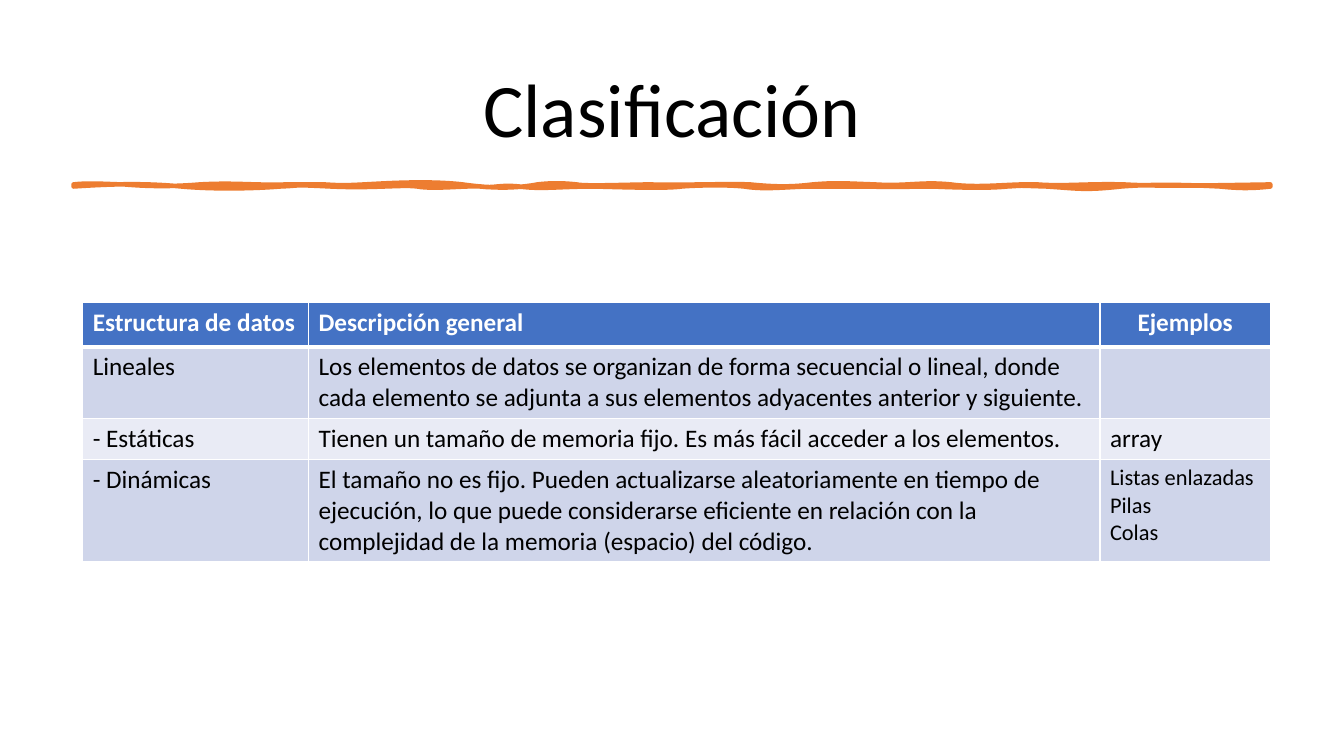
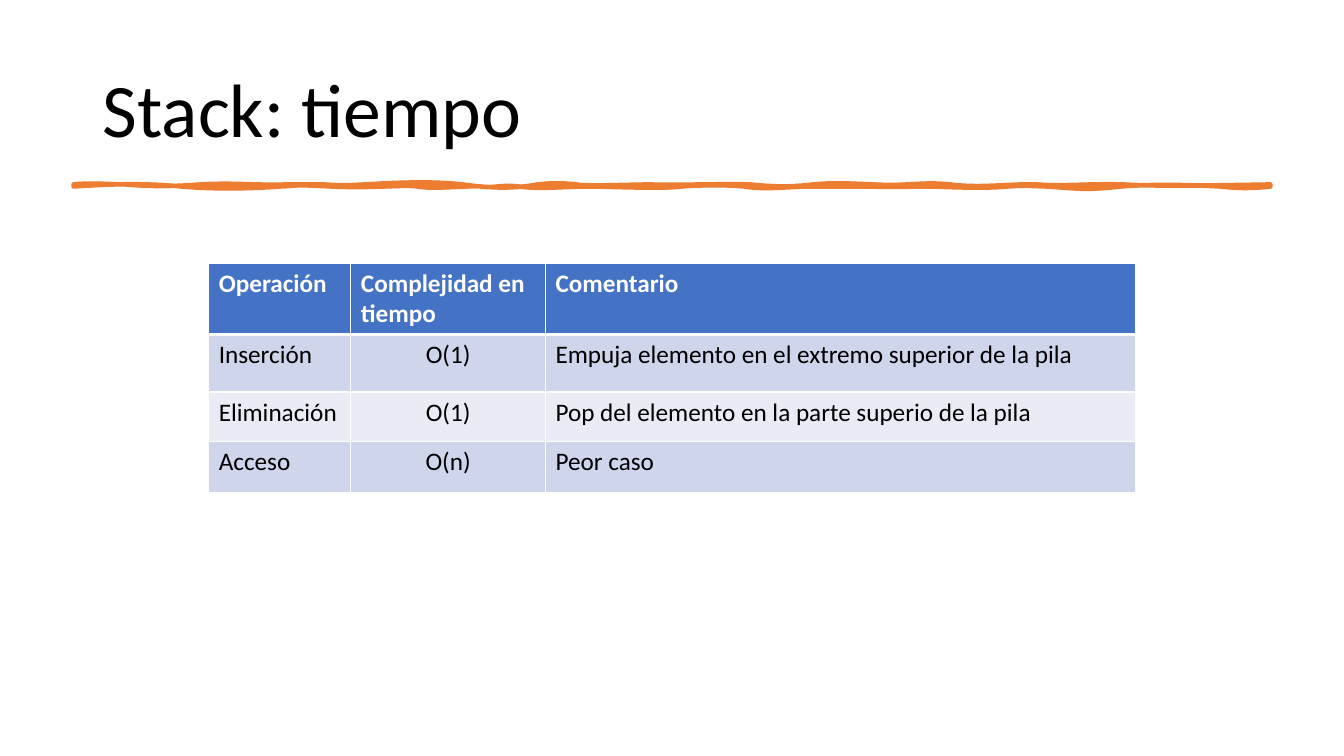
from dataclasses import dataclass

from lxml import etree
from pptx import Presentation
from pptx.dml.color import RGBColor
from pptx.enum.text import MSO_ANCHOR, PP_ALIGN
from pptx.oxml.ns import qn
from pptx.util import Inches, Pt

LEFT, CENTER = PP_ALIGN.LEFT, PP_ALIGN.CENTER
MIDDLE = MSO_ANCHOR.MIDDLE

SLIDE_W, SLIDE_H = 13.33, 7.5
TITLE_MARGIN = 0.92
FONT = "Calibri"
COLORS = {
    "header": "4472C4",
    "odd": "CFD5EA",
    "even": "E9EBF5",
    "border": "FFFFFF",
    "header_text": "FFFFFF",
    "text": "000000",
    "stroke": "ED7D31",
}
TITLE_FONT = {"name": FONT, "size": Pt(54), "bold": False}
HEADER_FONT = {"name": FONT, "size": Pt(18), "bold": True}
BODY_FONT = {"name": FONT, "size": Pt(18), "bold": False}
SMALL_FONT = {"name": FONT, "size": Pt(16), "bold": False}

# Brush stroke: each curve is (control x, control y, control x, control y, end x);
# every curve of an edge ends on that edge's level.
STROKE_LEFT, STROKE_TOP, STROKE_BOTTOM = 0.73, 1.83, 1.85
TOP_EDGE = [
    (0.89, 1.81, 1.11, 1.83, 1.24), (1.36, 1.84, 1.62, 1.86, 1.98),
    (2.34, 1.81, 2.51, 1.84, 2.84), (3.17, 1.83, 3.07, 1.83, 3.22),
    (3.38, 1.84, 3.42, 1.84, 3.61), (3.8, 1.82, 4.24, 1.79, 4.59),
    (4.94, 1.88, 5.17, 1.86, 5.33), (5.49, 1.81, 5.63, 1.82, 5.72),
    (5.81, 1.85, 6.25, 1.83, 6.46), (6.67, 1.84, 7.23, 1.82, 7.44),
    (7.65, 1.85, 7.82, 1.86, 8.06), (8.3, 1.81, 8.38, 1.82, 8.68),
    (8.99, 1.85, 9.14, 1.8, 9.43), (9.72, 1.87, 10.02, 1.82, 10.29),
    (10.55, 1.85, 10.78, 1.82, 11.15), (11.51, 1.85, 11.99, 1.84, 12.6),
]
BOTTOM_EDGE = [
    (12.6, 1.84, 12.6, 1.84, 12.6), (12.42, 1.87, 12.3, 1.87, 12.1),
    (11.9, 1.84, 11.49, 1.82, 11.12), (10.75, 1.89, 10.7, 1.87, 10.38),
    (10.05, 1.84, 10.18, 1.84, 9.99), (9.8, 1.87, 9.48, 1.86, 9.25),
    (9.02, 1.85, 8.84, 1.86, 8.63), (8.41, 1.85, 8.28, 1.85, 8),
    (7.73, 1.86, 7.57, 1.88, 7.38), (7.19, 1.83, 6.88, 1.84, 6.76),
    (6.63, 1.87, 6.24, 1.86, 5.9), (5.55, 1.85, 5.37, 1.88, 5.15),
    (4.94, 1.83, 4.91, 1.87, 4.77), (4.63, 1.84, 4.3, 1.88, 4.14),
    (3.99, 1.83, 3.71, 1.87, 3.28), (2.86, 1.83, 3.03, 1.84, 2.78),
    (2.53, 1.87, 2.13, 1.88, 1.8), (1.47, 1.82, 1.18, 1.82, STROKE_LEFT),
]


@dataclass(frozen=True)
class Cell:
    text: str = ""
    align: PP_ALIGN = LEFT
    small: bool = False


@dataclass(frozen=True)
class TableSlide:
    title: str
    title_align: PP_ALIGN
    left: float
    top: float
    cols: list[float]
    rows: list[float]
    cells: list[list[Cell]]


SLIDES = [
    TableSlide(
        "Clasificación", CENTER, 0.82, 3,
        cols=[2.24, 7.85, 1.69],
        rows=[0.44, 0.71, 0.41, 1.01],
        cells=[
            [Cell("Estructura de datos"), Cell("Descripción general"),
             Cell("Ejemplos", CENTER)],
            [Cell("Lineales"),
             Cell("Los elementos de datos se organizan de forma secuencial o "
                  "lineal, donde cada elemento se adjunta a sus elementos "
                  "adyacentes anterior y siguiente."),
             Cell()],
            [Cell("- Estáticas"),
             Cell("Tienen un tamaño de memoria fijo. Es más fácil acceder a "
                  "los elementos."),
             Cell("array")],
            [Cell("- Dinámicas"),
             Cell("El tamaño no es fijo. Pueden actualizarse aleatoriamente en "
                  "tiempo de ejecución, lo que puede considerarse eficiente en "
                  "relación con la complejidad de la memoria (espacio) del "
                  "código."),
             Cell("Listas enlazadas\nPilas\nColas", small=True)],
        ],
    ),
    TableSlide(
        "Stack: tiempo", LEFT, 2.07, 2.61,
        cols=[1.41, 1.93, 5.85],
        rows=[0.71, 0.57, 0.49, 0.51],
        cells=[
            [Cell("Operación"), Cell("Complejidad en tiempo"),
             Cell("Comentario")],
            [Cell("Inserción"), Cell("O(1)", CENTER),
             Cell("Empuja elemento en el extremo superior de la pila")],
            [Cell("Eliminación"), Cell("O(1)", CENTER),
             Cell("Pop del elemento en la parte superio de la pila")],
            [Cell("Acceso"), Cell("O(n)", CENTER), Cell("Peor caso")],
        ],
    ),
]


def rgb(name: str) -> RGBColor:
    return RGBColor.from_string(COLORS[name])


def write_text(tf, text: str, align: PP_ALIGN, font: dict, color: str) -> None:
    """Write one paragraph for each line of the text."""
    for i, line in enumerate(text.split("\n")):
        p = tf.add_paragraph() if i else tf.paragraphs[0]
        p.alignment = align
        if line:
            r = p.add_run()
            r.text = line
            for key, value in font.items():
                setattr(r.font, key, value)
            r.font.color.rgb = rgb(color)


def add_title(s, text: str, align: PP_ALIGN) -> None:
    box = s.shapes.add_textbox(Inches(TITLE_MARGIN), Inches(0.4),
                               Inches(SLIDE_W - 2 * TITLE_MARGIN), Inches(1.45))
    tf = box.text_frame
    tf.word_wrap = True
    tf.vertical_anchor = MIDDLE
    write_text(tf, text, align, TITLE_FONT, "text")
    tf.paragraphs[0].line_spacing = 0.9


def bend_segments(sp, curves: list) -> None:
    """Turn the straight segments of a freeform into Bézier curves."""
    segments = list(sp.element.iter(qn("a:lnTo")))
    for segment, (x1, y1, x2, y2, _) in zip(segments, curves):
        segment.tag = qn("a:cubicBezTo")
        for i, (x, y) in enumerate([(x1, y1), (x2, y2)]):
            pt = etree.Element(qn("a:pt"), x=str(Inches(x) - sp.left),
                               y=str(Inches(y) - sp.top))
            segment.insert(i, pt)


def add_brush_stroke(s) -> None:
    ends = [(Inches(curve[-1]), Inches(level))
            for edge, level in [(TOP_EDGE, STROKE_TOP),
                                (BOTTOM_EDGE, STROKE_BOTTOM)]
            for curve in edge]
    builder = s.shapes.build_freeform(Inches(STROKE_LEFT), Inches(STROKE_TOP))
    builder.add_line_segments(ends, close=True)
    sp = builder.convert_to_shape()
    bend_segments(sp, TOP_EDGE + BOTTOM_EDGE)
    sp.shadow.inherit = False
    sp.fill.solid()
    sp.fill.fore_color.rgb = rgb("stroke")
    sp.line.color.rgb = rgb("stroke")
    sp.line.width = Pt(3.25)


def set_borders(cell, widths: dict[str, float]) -> None:
    """Give each side (L, R, T, B) a solid line of its width in points."""
    tc_pr = cell._tc.get_or_add_tcPr()
    for i, (side, width) in enumerate(widths.items()):
        ln = etree.Element(qn(f"a:ln{side}"), w=str(Pt(width)))
        fill = etree.SubElement(ln, qn("a:solidFill"))
        etree.SubElement(fill, qn("a:srgbClr"), val=COLORS["border"])
        tc_pr.insert(i, ln)


def add_table(s, item: TableSlide) -> None:
    table = s.shapes.add_table(
        len(item.rows), len(item.cols), Inches(item.left), Inches(item.top),
        Inches(sum(item.cols)), Inches(sum(item.rows))).table
    for column, width in zip(table.columns, item.cols):
        column.width = Inches(width)
    for row, height in zip(table.rows, item.rows):
        row.height = Inches(height)
    for i, row_cells in enumerate(item.cells):
        band = "header" if i == 0 else "odd" if i % 2 else "even"
        color = "text" if i else "header_text"
        widths = {"L": 1, "R": 1, "T": 3 if i == 1 else 1, "B": 1 if i else 3}
        for j, content in enumerate(row_cells):
            cell = table.cell(i, j)
            cell.fill.solid()
            cell.fill.fore_color.rgb = rgb(band)
            set_borders(cell, widths)
            body = SMALL_FONT if content.small else BODY_FONT
            write_text(cell.text_frame, content.text, content.align,
                       body if i else HEADER_FONT, color)


def main() -> None:
    prs = Presentation()
    prs.slide_width, prs.slide_height = Inches(SLIDE_W), Inches(SLIDE_H)
    blank = prs.slide_layouts[6]
    for item in SLIDES:
        s = prs.slides.add_slide(blank)
        add_title(s, item.title, item.title_align)
        add_brush_stroke(s)
        add_table(s, item)
    prs.save("out.pptx")


if __name__ == "__main__":
    main()
